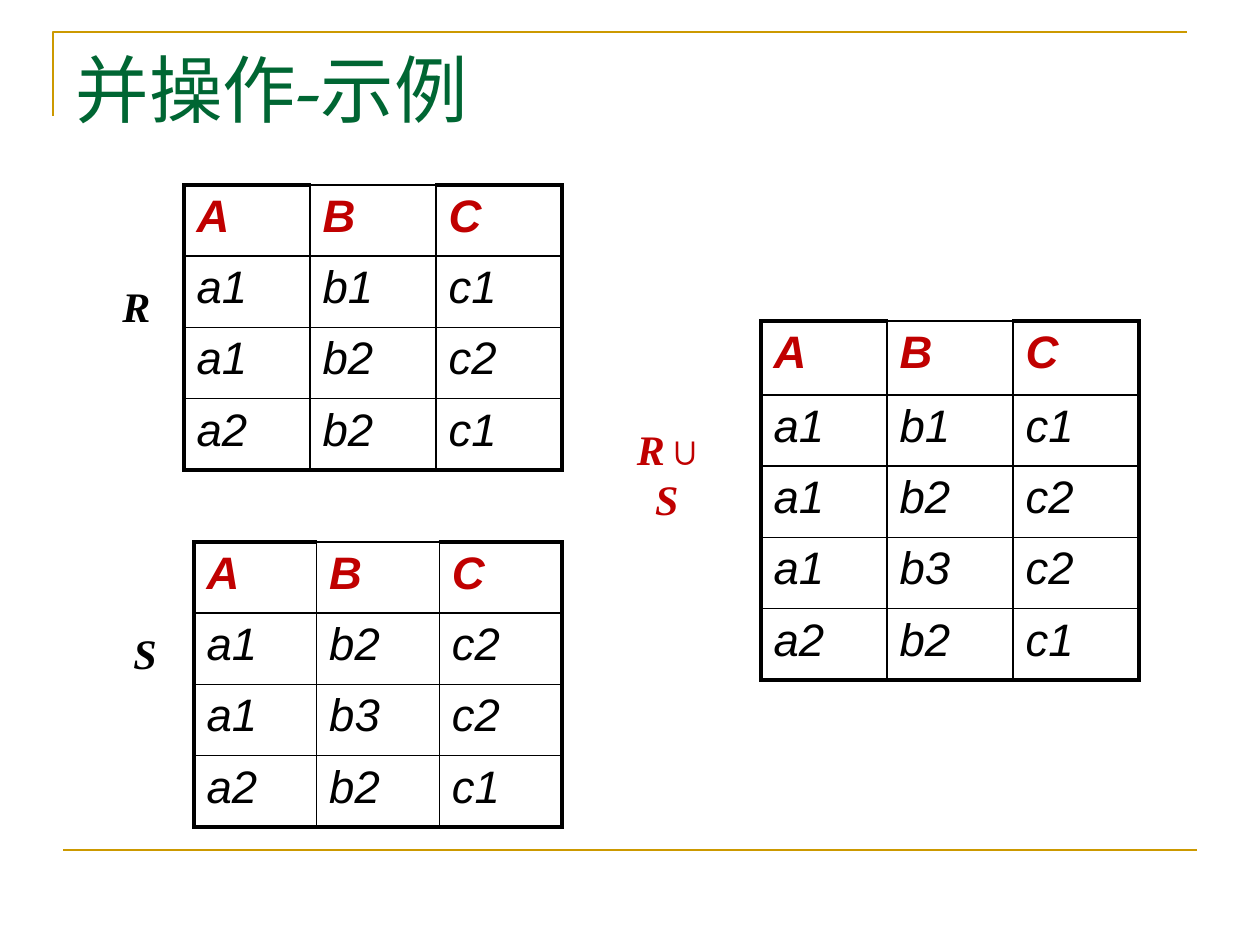
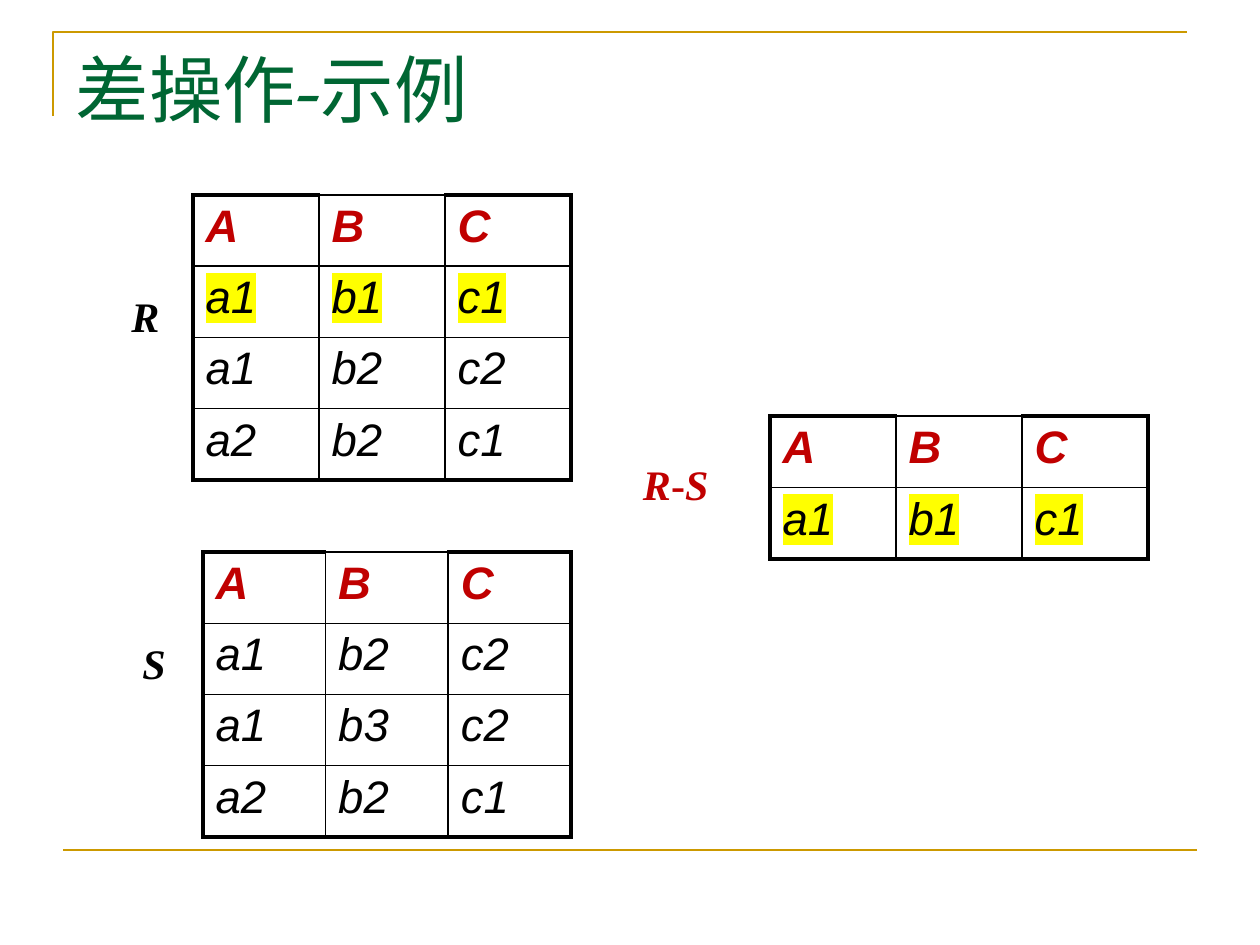
"""Builds two slides that show union and difference of the relations R and S."""
from lxml.etree import SubElement
from pptx import Presentation
from pptx.dml.color import RGBColor
from pptx.enum.text import MSO_ANCHOR, PP_ALIGN
from pptx.oxml.ns import qn
from pptx.util import Pt

GREEN = RGBColor(0x00, 0x66, 0x33)
GOLD = RGBColor(0xCC, 0x99, 0x00)
RED = RGBColor(0xC0, 0x00, 0x00)
BLACK = RGBColor(0x00, 0x00, 0x00)
YELLOW = RGBColor(0xFF, 0xFF, 0x00)
TOP, MIDDLE = MSO_ANCHOR.TOP, MSO_ANCHOR.MIDDLE
LEFT, CENTER = PP_ALIGN.LEFT, PP_ALIGN.CENTER
TITLE_FONT, CELL_FONT, LABEL_FONT = "TeX Gyre Pagella", "Arial", "Times New Roman"

PIXEL = 914400 / 126
PAGE = (1260, 945)
TITLE_BOX = (63, 38, 1134, 158)
CORNER = [(53, 116), (53, 32), (1187, 32)]
FOOT_RULE = (63, 850, 1197, 850)
BODY_ROW = 285 / 4
THICK, THIN = Pt(2.25), Pt(1)

ATTRIBUTES = ["A", "B", "C"]
R_ROWS = ["a1 b1 c1", "a1 b2 c2", "a2 b2 c1"]
S_ROWS = ["a1 b2 c2", "a1 b3 c2", "a2 b2 c1"]
UNION_ROWS = ["a1 b1 c1", "a1 b2 c2", "a1 b3 c2", "a2 b2 c1"]
DIFFERENCE_ROWS = ["a1 b1 c1"]

OPERANDS = [
    {"label": ["R"], "label_box": (110, 248, 42, 116), "color": BLACK,
     "rows": R_ROWS, "table_box": (184, 185, 378, 285)},
    {"label": ["S"], "label_box": (121, 595, 42, 116), "color": BLACK,
     "rows": S_ROWS, "table_box": (194, 542, 368, 285)},
]
RESULT_LABEL_BOX = (614, 416, 116, 116)
OPERATIONS = [
    {"title": "并操作-示例", "shift": (0, 0), "marked": [],
     "result": {"label": ["R", "∪", "S "], "label_box": RESULT_LABEL_BOX, "color": RED,
                "rows": UNION_ROWS, "table_box": (761, 321, 378, 359)}},
    {"title": "差操作-示例", "shift": (9, 10), "marked": DIFFERENCE_ROWS,
     "result": {"label": ["R", "-", "S "], "label_box": RESULT_LABEL_BOX, "color": RED,
                "rows": DIFFERENCE_ROWS, "table_box": (761, 406, 378, 143)}},
]


def emu(*pixels):
    return [round(value * PIXEL) for value in pixels]


def shifted(box, shift):
    left, top, width, height = box
    return emu(left + shift[0], top + shift[1], width, height)


def style(run, font_name, size, color, bold=False, italic=False):
    font = run.font
    font.name, font.size, font.bold, font.italic = font_name, Pt(size), bold, italic
    font.color.rgb = color


def highlight(run):
    properties = run.font._element
    mark = SubElement(properties, qn("a:highlight"))
    SubElement(mark, qn("a:srgbClr"), val=str(YELLOW))
    properties.find(qn("a:solidFill")).addnext(mark)


def draw_borders(cell, widths):
    properties = cell._tc.get_or_add_tcPr()
    for side, width in zip("LRTB", widths):
        border = SubElement(properties, qn(f"a:ln{side}"), w=str(width))
        fill = SubElement(border, qn("a:solidFill"))
        SubElement(fill, qn("a:srgbClr"), val=str(BLACK))


def add_relation(slide, rows, box, marked):
    records = [ATTRIBUTES] + [row.split() for row in rows]
    last_row, last_column = len(rows), len(ATTRIBUTES) - 1
    table = slide.shapes.add_table(last_row + 1, last_column + 1, *box).table
    table.first_row = table.horz_banding = False
    body_height, = emu(BODY_ROW)
    table.rows[0].height = box[3] - body_height * last_row
    for r, record in enumerate(records):
        if r:
            table.rows[r].height = body_height
        for c, value in enumerate(record):
            cell = table.cell(r, c)
            thick_sides = [c == 0, c == last_column,
                           r == 0 and c in (0, last_column), r == last_row]
            draw_borders(cell, [THICK if thick else THIN for thick in thick_sides])
            cell.fill.background()
            cell.text_frame.text = value
            paragraph = cell.text_frame.paragraphs[0]
            before = SubElement(paragraph._p.get_or_add_pPr(), qn("a:spcBef"))
            SubElement(before, qn("a:spcPct"), val="20000")
            run = paragraph.runs[0]
            style(run, CELL_FONT, 26, BLACK if r else RED, bold=r == 0, italic=True)
            if " ".join(record) in marked:
                highlight(run)


def add_label(slide, words, box, color):
    frame = slide.shapes.add_textbox(*box).text_frame
    frame.word_wrap, frame.vertical_anchor = False, MIDDLE
    paragraph = frame.paragraphs[0]
    paragraph.alignment = CENTER
    for word in words:
        run = paragraph.add_run()
        run.text = word
        style(run, LABEL_FONT, 24, color, bold=True, italic=word.strip().isalpha())


def set_title(slide, words):
    title = slide.shapes.title
    title.left, title.top, title.width, title.height = emu(*TITLE_BOX)
    title.text_frame.text = words
    title.text_frame.vertical_anchor = TOP
    paragraph = title.text_frame.paragraphs[0]
    paragraph.alignment = LEFT
    style(paragraph.runs[0], TITLE_FONT, 42, GREEN)


def move_rules_to_layout(slide, layout):
    for placeholder in list(layout.placeholders)[1:]:
        layout.shapes.element.remove(placeholder.element)
    builder = slide.shapes.build_freeform(*CORNER[0], scale=PIXEL)
    builder.add_line_segments(CORNER[1:], close=False)
    corner = builder.convert_to_shape()
    corner.fill.background()
    corner.shadow.inherit = False
    foot = slide.shapes.add_connector(1, *emu(*FOOT_RULE))
    SubElement(foot.element.spPr, qn("a:effectLst"))
    for rule in (corner, foot):
        rule.line.color.rgb = GOLD
        rule.line.width = Pt(1.5)
        layout.shapes.element.append(rule.element)


deck = Presentation()
deck.slide_width, deck.slide_height = emu(*PAGE)
title_only = deck.slide_layouts[5]
for number, operation in enumerate(OPERATIONS):
    slide = deck.slides.add_slide(title_only)
    if number == 0:
        move_rules_to_layout(slide, title_only)
    set_title(slide, operation["title"])
    for relation in OPERANDS + [operation["result"]]:
        add_relation(slide, relation["rows"],
                     shifted(relation["table_box"], operation["shift"]), operation["marked"])
        add_label(slide, relation["label"],
                  shifted(relation["label_box"], operation["shift"]), relation["color"])
deck.save("out.pptx")
